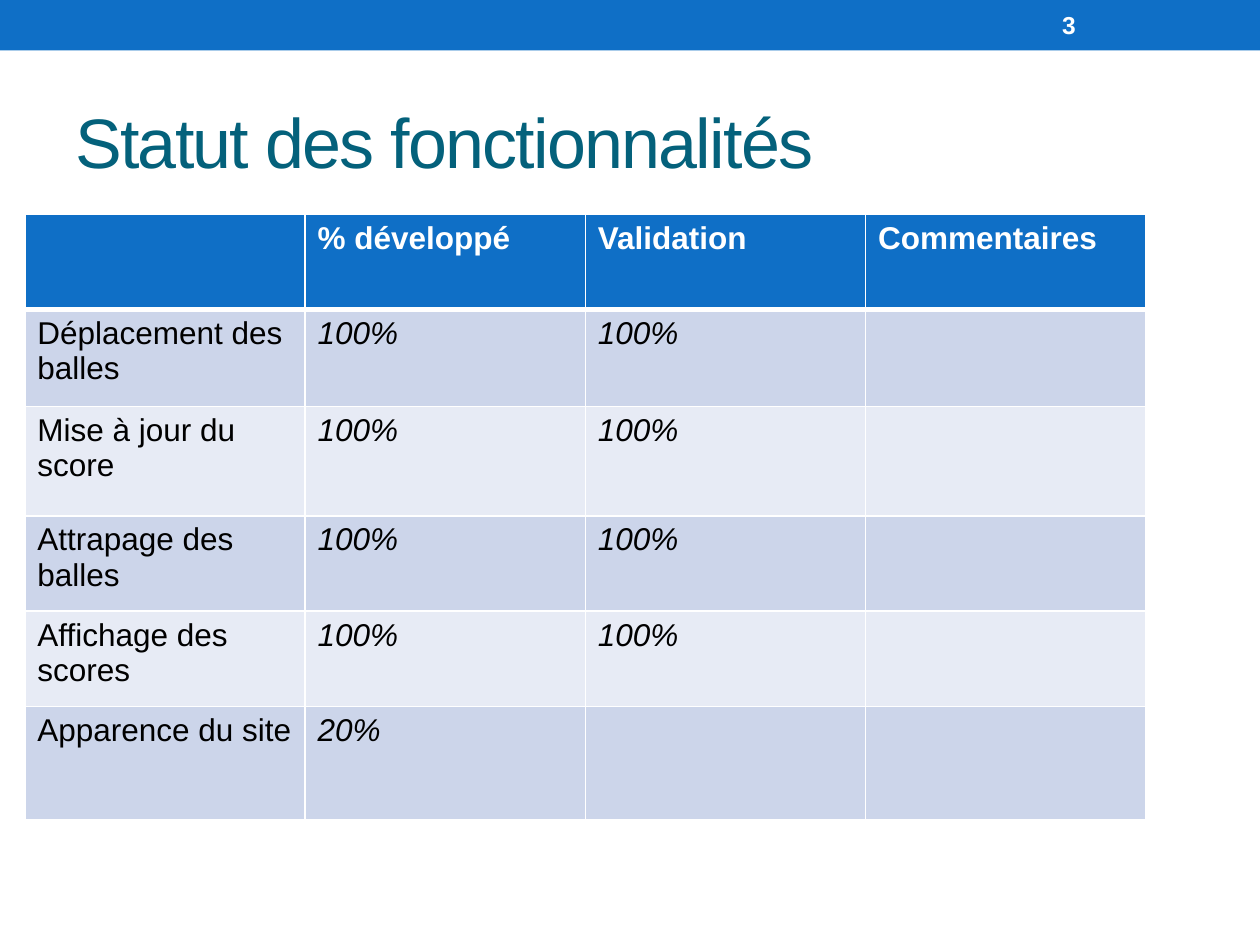
from pptx import Presentation
from pptx import util as u
from pptx.dml.color import RGBColor
from pptx.enum import shapes, text
from pptx.oxml import parse_xml
from pptx.oxml.ns import nsdecls


def paint(fill, color):
    fill.solid()
    fill.fore_color.rgb = RGBColor.from_string(color)


def write(tf, content, size, color, bold=False, italic=False):
    tf.word_wrap = True
    p = tf.paragraphs[0]
    p.text = content
    p.font.name = "Arial"
    p.font.size = u.Pt(size)
    p.font.bold = bold
    p.font.italic = italic
    paint(p.font.fill, color)


BLUE, WHITE = "0F6FC6", "FFFFFF"
BANDS = ["E7EBF5", "CCD5EA"]

prs = Presentation()
prs.slide_width = u.Cm(25.4)
prs.slide_height = u.Cm(19.05)
s = prs.slides.add_slide(prs.slide_layouts[6])

banner = s.shapes.add_shape(shapes.MSO_SHAPE.RECTANGLE, 0, 0, prs.slide_width, u.Cm(1.02))
banner.shadow.inherit = False
paint(banner.fill, BLUE)
banner.line.fill.background()

labels = [
    ("Statut des fonctionnalités", 1.27, 1.47, 22.86, 2.74, 40, "04617B", False),
    ("3", 21.16, 0.05, 2.97, 0.91, 14, WHITE, True),
]
for content, x, y, w, h, size, color, bold in labels:
    sp = s.shapes.add_textbox(u.Cm(x), u.Cm(y), u.Cm(w), u.Cm(h))
    tf = sp.text_frame
    tf.vertical_anchor = text.MSO_ANCHOR.MIDDLE
    write(tf, content, size, color, bold)
    if size == 40:
        tf.paragraphs[0].runs[0].font._element.set("spc", "-100")

rows = [
    ["", "% développé", "Validation", "Commentaires"],
    ["Déplacement des balles", "100%", "100%", ""],
    ["Mise à jour du score", "100%", "100%", ""],
    ["Attrapage des balles", "100%", "100%", ""],
    ["Affichage des scores", "100%", "100%", ""],
    ["Apparence du site", "20%", "", ""],
]
heights = [1.92, 1.95, 2.21, 1.92, 1.92, 2.28]
col_width = 5.65

table = s.shapes.add_table(len(rows), 4, u.Cm(0.5), u.Cm(4.32),
                           u.Cm(4 * col_width), u.Cm(sum(heights))).table
for col in table.columns:
    col.width = u.Cm(col_width)

for i, (row, height) in enumerate(zip(rows, heights)):
    table.rows[i].height = u.Cm(height)
    header = i == 0
    for j, content in enumerate(row):
        cell = table.cell(i, j)
        write(cell.text_frame, content, 18, WHITE if header else "000000",
              header, not header and j > 0)
        paint(cell.fill, BLUE if header else BANDS[i % 2])
        tcPr = cell._tc.get_or_add_tcPr()
        for k, side in enumerate(["lnL", "lnR", "lnT", "lnB"]):
            heavy = (header and side == "lnB") or (i == 1 and side == "lnT")
            tcPr.insert(k, parse_xml(
                f'<a:{side} {nsdecls("a")} w="{u.Pt(3 if heavy else 1)}"><a:solidFill>'
                f'<a:srgbClr val="{WHITE}"/></a:solidFill></a:{side}>'))

prs.save("out.pptx")
